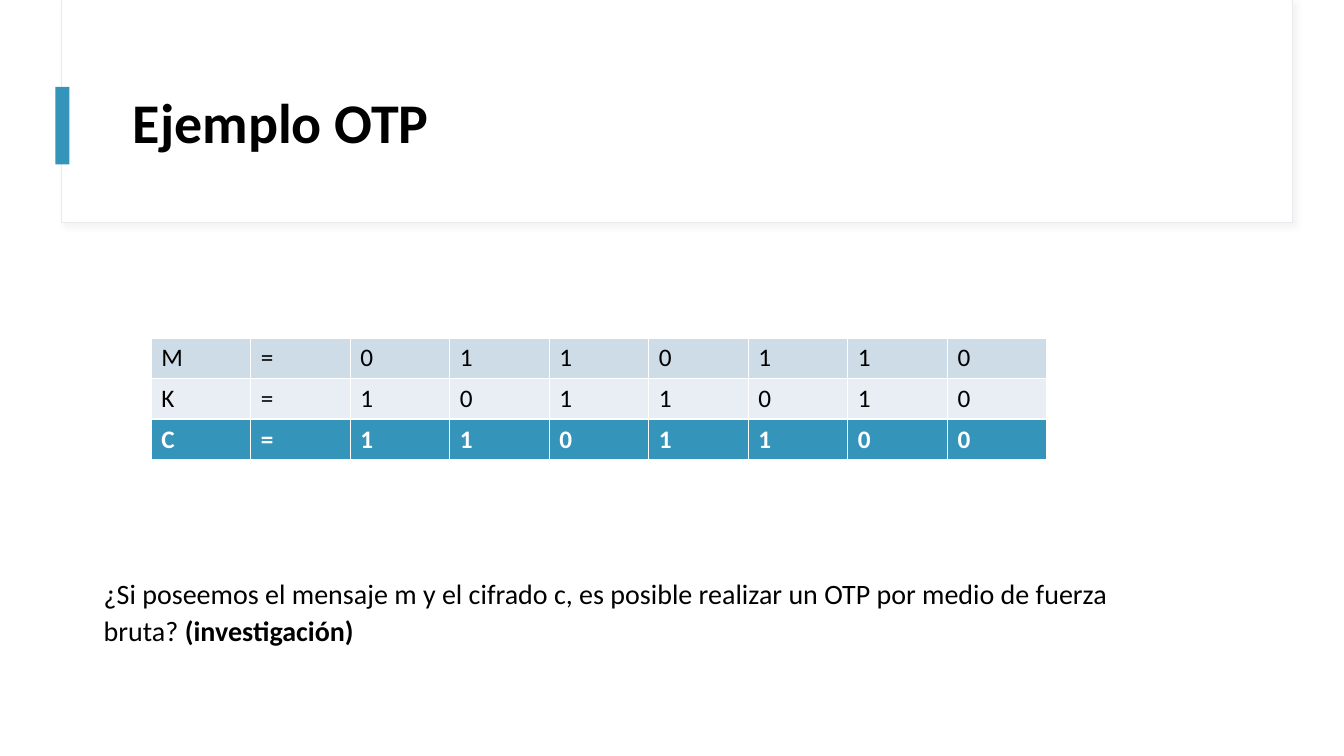
from lxml import etree
from pptx import Presentation
from pptx.dml.color import RGBColor
from pptx.enum.shapes import MSO_SHAPE as Shape
from pptx.enum.text import MSO_ANCHOR as Anchor, PP_ALIGN as Align
from pptx.oxml import parse_xml
from pptx.oxml.ns import nsdecls, qn
from pptx.util import Pt

FONT = "Calibri"
COLORS = {
    "text": "000000",
    "white": "FFFFFF",
    "accent": "3494BA",
    "frame": "EAE9EE",
    "shadow": "D9D9D9",
    "message": "CEDCE7",
    "key": "E8EEF3",
}
OTP_ROWS = [
    ("", None),
    ("M=0110110", "message"),
    ("K=1011010", "key"),
    ("C=1101100", "accent"),
]
COLUMN_COUNT = 9


def color(name):
    return RGBColor.from_string(COLORS[name])


def style_font(font, size, bold=False, color_name="text"):
    font.name = FONT
    font.size = Pt(size)
    font.bold = bold
    font.color.rgb = color(color_name)


def add_rectangle(slide, left, top, width, height, fill, line=None):
    shape = slide.shapes.add_shape(
        Shape.RECTANGLE, Pt(left), Pt(top), Pt(width), Pt(height))
    shape.shadow.inherit = False
    shape.fill.solid()
    shape.fill.fore_color.rgb = color(fill)
    if line:
        shape.line.color.rgb = color(line)
        shape.line.width = Pt(0.75)
    else:
        shape.line.fill.background()
    return shape


def add_soft_shadow(shape):
    effects = shape.element.spPr.find(qn("a:effectLst"))
    effects.append(parse_xml(
        f'<a:outerShdw {nsdecls("a")} blurRad="{Pt(4)}" dist="{Pt(3)}"'
        f' dir="{45 * 60000}" algn="tl" rotWithShape="0">'
        f'<a:srgbClr val="{COLORS["shadow"]}"><a:alpha val="30000"/></a:srgbClr>'
        '</a:outerShdw>'))


def add_title_frame(slide):
    add_soft_shadow(add_rectangle(slide, 44, 0, 879, 159, "white", "frame"))
    add_rectangle(slide, 44.6, 0, 878, 158.4, "white")
    add_rectangle(slide, 39.6, 62, 10, 55.4, "accent")


def set_title(slide, text):
    title = slide.shapes.title
    title.left, title.top = Pt(87.8), Pt(43.2)
    title.width, title.height = Pt(800.6), Pt(92.9)
    title.text_frame.text = text
    title.text_frame.vertical_anchor = Anchor.MIDDLE
    paragraph = title.text_frame.paragraphs[0]
    paragraph.alignment = Align.LEFT
    paragraph.line_spacing = 0.9
    style_font(paragraph.runs[0].font, 40, bold=True)
    # The title has to lie in front of its frame.
    title.element.getparent().append(title.element)


def set_cell_borders(cell, bottom_width):
    """Draw white borders, placed before the fill as the schema requires."""
    properties = cell._tc.get_or_add_tcPr()
    sides = [("lnL", 1), ("lnR", 1), ("lnT", 1), ("lnB", bottom_width)]
    for index, (side, width) in enumerate(sides):
        border = etree.Element(qn(f"a:{side}"), w=str(Pt(width)))
        fill = etree.SubElement(border, qn("a:solidFill"))
        etree.SubElement(fill, qn("a:srgbClr"), val=COLORS["white"])
        properties.insert(index, border)


def fill_cell(cell, text, fill):
    is_result = fill == "accent"
    if fill:
        cell.fill.solid()
        cell.fill.fore_color.rgb = color(fill)
    else:
        cell.fill.background()
    set_cell_borders(cell, 1 if fill else 3)
    cell.text_frame.text = text
    style_font(cell.text_frame.paragraphs[0].font, 18, is_result,
               "white" if is_result else "text")


def add_otp_table(slide):
    table = slide.shapes.add_table(
        len(OTP_ROWS), COLUMN_COUNT,
        Pt(108), Pt(211.7), Pt(640), Pt(116.8)).table
    table.horz_banding = False
    for row, (symbols, fill) in zip(table.rows, OTP_ROWS):
        for cell, symbol in zip(row.cells, symbols or [""] * COLUMN_COUNT):
            fill_cell(cell, symbol, fill)


def add_question(slide, question, note):
    box = slide.shapes.add_textbox(Pt(67), Pt(406), Pt(759), Pt(73.4))
    box.text_frame.word_wrap = True
    paragraph = box.text_frame.paragraphs[0]
    paragraph.line_spacing = 1.1
    for text, bold in [(question, False), (note, True)]:
        run = paragraph.add_run()
        run.text = text
        style_font(run.font, 20, bold)


def main():
    presentation = Presentation()
    presentation.slide_width, presentation.slide_height = Pt(960), Pt(540)
    slide = presentation.slides.add_slide(presentation.slide_layouts[5])
    add_title_frame(slide)
    set_title(slide, "Ejemplo OTP")
    add_otp_table(slide)
    add_question(
        slide,
        "¿Si poseemos el mensaje m y el cifrado c, es posible realizar "
        "un OTP por medio de fuerza bruta? ",
        "(investigación)")
    presentation.save("out.pptx")


if __name__ == "__main__":
    main()
